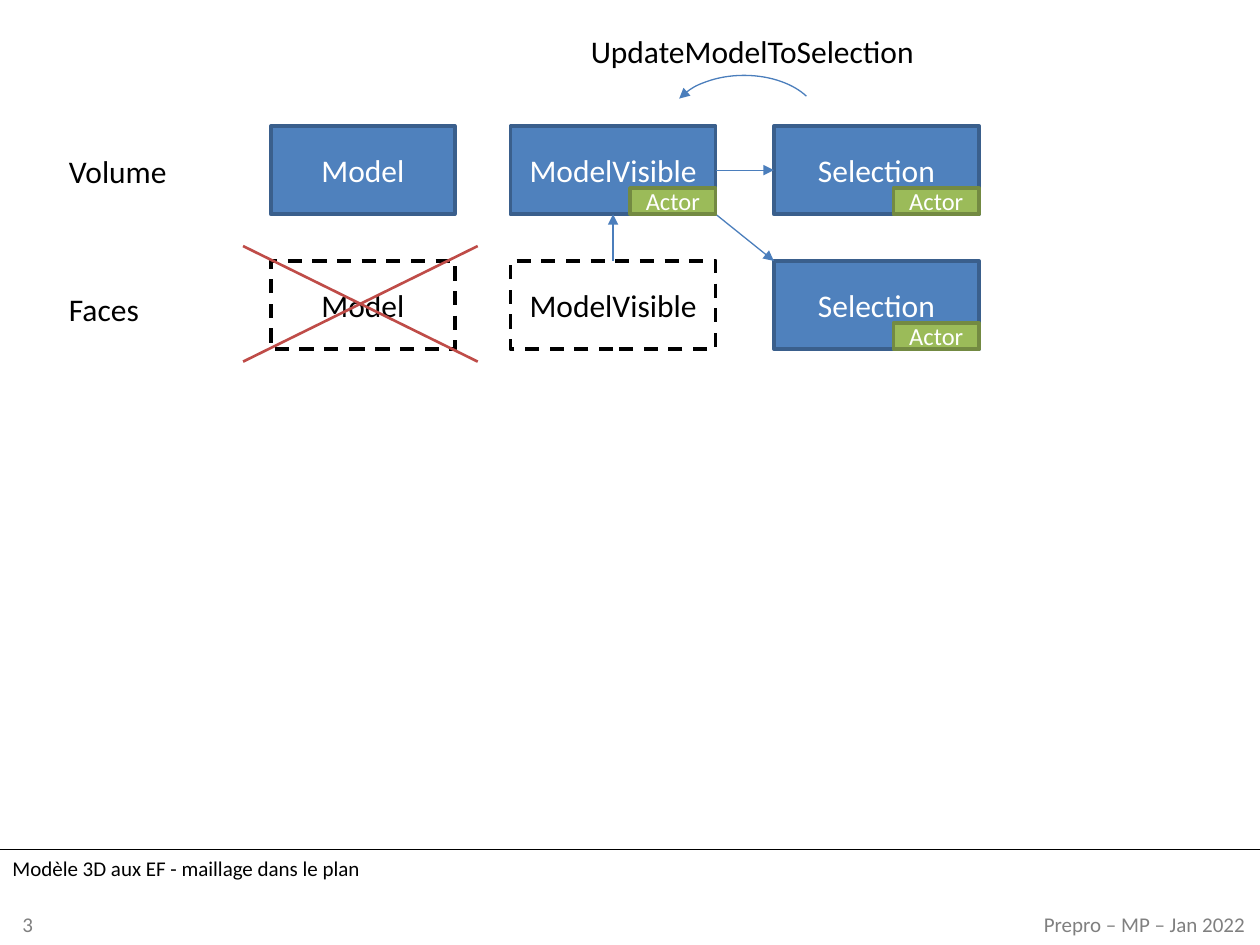
from pptx import Presentation
from pptx.dml.color import RGBColor
from pptx.enum.dml import MSO_LINE
from pptx.enum.shapes import MSO_CONNECTOR, MSO_SHAPE
from pptx.enum.text import MSO_ANCHOR, MSO_AUTO_SIZE, PP_ALIGN
from pptx.oxml.ns import qn
from pptx.util import Cm, Pt
from lxml import etree

STRAIGHT = MSO_CONNECTOR.STRAIGHT
RECTANGLE, ARC = MSO_SHAPE.RECTANGLE, MSO_SHAPE.ARC
DASH = MSO_LINE.DASH
MIDDLE = MSO_ANCHOR.MIDDLE
FIT_SHAPE = MSO_AUTO_SIZE.SHAPE_TO_FIT_TEXT
LEFT, CENTER, RIGHT = PP_ALIGN.LEFT, PP_ALIGN.CENTER, PP_ALIGN.RIGHT
TOP_SIDE, LEFT_SIDE, BOTTOM_SIDE, RIGHT_SIDE = range(4)

BLACK = RGBColor(0x00, 0x00, 0x00)
WHITE = RGBColor(0xFF, 0xFF, 0xFF)
GRAY = RGBColor(0x80, 0x80, 0x80)
BLUE = RGBColor(0x4F, 0x81, 0xBD)
DARK_BLUE = RGBColor(0x3A, 0x5F, 0x8C)
ARROW_BLUE = RGBColor(0x4B, 0x7E, 0xBC)
GREEN = RGBColor(0x9B, 0xBB, 0x59)
DARK_GREEN = RGBColor(0x73, 0x8A, 0x42)
RED = RGBColor(0xBF, 0x4C, 0x48)

SLIDE_WIDTH, SLIDE_HEIGHT = 25.4, 19.05
FOOTER_TOP = 17.12
MODEL_LEFT, VISIBLE_LEFT, SELECTION_LEFT = 5.46, 10.29, 15.6
MODEL_WIDTH, BOX_WIDTH, BOX_HEIGHT = 3.71, 4.14, 1.78
VOLUME_TOP, FACES_TOP = 2.54, 5.26
ACTOR_WIDTH, ACTOR_HEIGHT = 1.73, 0.53


def write(frame, text, size=18, color=BLACK, align=LEFT, font="Calibri"):
    paragraph = frame.paragraphs[0]
    paragraph.alignment = align
    run = paragraph.add_run()
    run.text = text
    run.font.name = font
    run.font.size = Pt(size)
    run.font.color.rgb = color
    return paragraph


class Diagram:
    def __init__(self, slide):
        self.shapes = slide.shapes

    def outline(self, line, color, width, dash=None, arrow=None):
        line.color.rgb = color
        line.width = Pt(width)
        if dash:
            line.dash_style = dash
        if arrow:
            etree.SubElement(line._get_or_add_ln(), qn("a:" + arrow), type="triangle")

    def box(self, text, left, top, width=BOX_WIDTH, height=BOX_HEIGHT, size=18,
            fill=BLUE, border=DARK_BLUE, color=WHITE, dash=None):
        box = self.shapes.add_shape(RECTANGLE, Cm(left), Cm(top), Cm(width), Cm(height))
        box.shadow.inherit = False
        box.fill.solid()
        box.fill.fore_color.rgb = fill
        self.outline(box.line, border, 2, dash)
        box.text_frame.vertical_anchor = MIDDLE
        write(box.text_frame, text, size=size, color=color, align=CENTER)
        return box

    def dashed_box(self, text, left, top, width=BOX_WIDTH):
        return self.box(text, left, top, width, fill=WHITE, border=BLACK,
                        color=BLACK, dash=DASH)

    def actor(self, left, top):
        self.box("Actor", left + BOX_WIDTH - ACTOR_WIDTH, top + BOX_HEIGHT - ACTOR_HEIGHT,
                 ACTOR_WIDTH, ACTOR_HEIGHT, size=14, fill=GREEN, border=DARK_GREEN)

    def label(self, text, left, top, width, height=1.02, wrap=False, **style):
        label = self.shapes.add_textbox(Cm(left), Cm(top), Cm(width), Cm(height))
        label.text_frame.word_wrap = wrap
        label.text_frame.auto_size = FIT_SHAPE
        return write(label.text_frame, text, **style)

    def line(self, x1, y1, x2, y2, color, width=0.75, arrow=None):
        line = self.shapes.add_connector(STRAIGHT, Cm(x1), Cm(y1), Cm(x2), Cm(y2))
        self.outline(line.line, color, width, arrow=arrow)
        etree.SubElement(line._element.spPr, qn("a:effectLst"))
        return line

    def link(self, source, source_side, target, target_side):
        link = self.line(0, 0, 1, 1, ARROW_BLUE, arrow="tailEnd")
        link.begin_connect(source, source_side)
        link.end_connect(target, target_side)

    def arc(self, left, top, width, height, start, end):
        arc = self.shapes.add_shape(ARC, Cm(left), Cm(top), Cm(width), Cm(height))
        arc.shadow.inherit = False
        arc.adjustments[0] = start
        arc.adjustments[1] = end
        arc.fill.background()
        self.outline(arc.line, ARROW_BLUE, 0.75, arrow="headEnd")


def main():
    presentation = Presentation()
    presentation.slide_width = Cm(SLIDE_WIDTH)
    presentation.slide_height = Cm(SLIDE_HEIGHT)
    diagram = Diagram(presentation.slides.add_slide(presentation.slide_layouts[6]))

    diagram.line(0, FOOTER_TOP, SLIDE_WIDTH, FOOTER_TOP, BLACK)
    footer = diagram.label("3\tPrepro – MP – Jan 2022", 0.2, 18.26, 25.15, 0.76,
                           wrap=True, size=12, color=GRAY, align=RIGHT)
    tabs = etree.SubElement(footer._p.get_or_add_pPr(), qn("a:tabLst"))
    for position, side in ((0, "l"), (24.66, "r")):
        etree.SubElement(tabs, qn("a:tab"), pos=str(Cm(position)), algn=side)
    diagram.label("Modèle 3D aux EF - maillage dans le plan", 0, FOOTER_TOP, 14.27, 0.76,
                  wrap=True, size=12)

    diagram.box("Model", MODEL_LEFT, VOLUME_TOP, MODEL_WIDTH)
    visible_volume = diagram.box("ModelVisible", VISIBLE_LEFT, VOLUME_TOP)
    selected_volume = diagram.box("Selection", SELECTION_LEFT, VOLUME_TOP)
    diagram.label("Volume", 1.14, 2.95, 2.51)
    diagram.label("Faces", 1.14, 5.72, 1.93)
    diagram.dashed_box("Model", MODEL_LEFT, FACES_TOP, MODEL_WIDTH)
    visible_faces = diagram.dashed_box("ModelVisible", VISIBLE_LEFT, FACES_TOP)
    diagram.box("Selection", SELECTION_LEFT, FACES_TOP)

    cross_left, cross_right, cross_top, cross_bottom = 4.9, 9.63, 4.96, 7.29
    diagram.line(cross_left, cross_top, cross_right, cross_bottom, RED, 1.5)
    diagram.line(cross_left, cross_bottom, cross_right, cross_top, RED, 1.5)

    diagram.link(visible_faces, TOP_SIDE, visible_volume, BOTTOM_SIDE)
    diagram.line(VISIBLE_LEFT + BOX_WIDTH, VOLUME_TOP + BOX_HEIGHT,
                 SELECTION_LEFT, FACES_TOP, ARROW_BLUE, arrow="tailEnd")
    diagram.link(visible_volume, RIGHT_SIDE, selected_volume, LEFT_SIDE)
    diagram.arc(13.49, 1.52, 3.02, 1.88, start=119.88, end=202.49)
    diagram.label("UpdateModelToSelection", 11.66, 0.53, 7.11)

    for left, top in ((VISIBLE_LEFT, VOLUME_TOP), (SELECTION_LEFT, VOLUME_TOP),
                      (SELECTION_LEFT, FACES_TOP)):
        diagram.actor(left, top)

    presentation.save("out.pptx")


if __name__ == "__main__":
    main()
